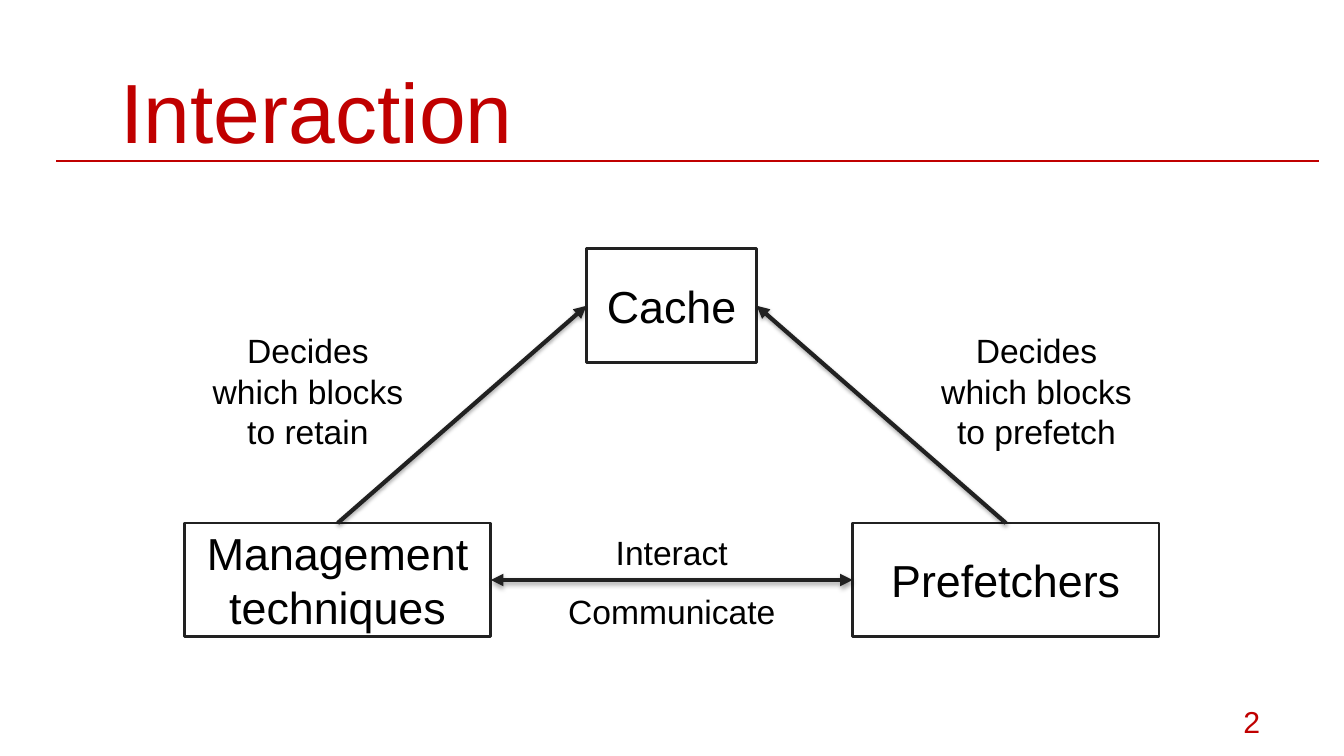
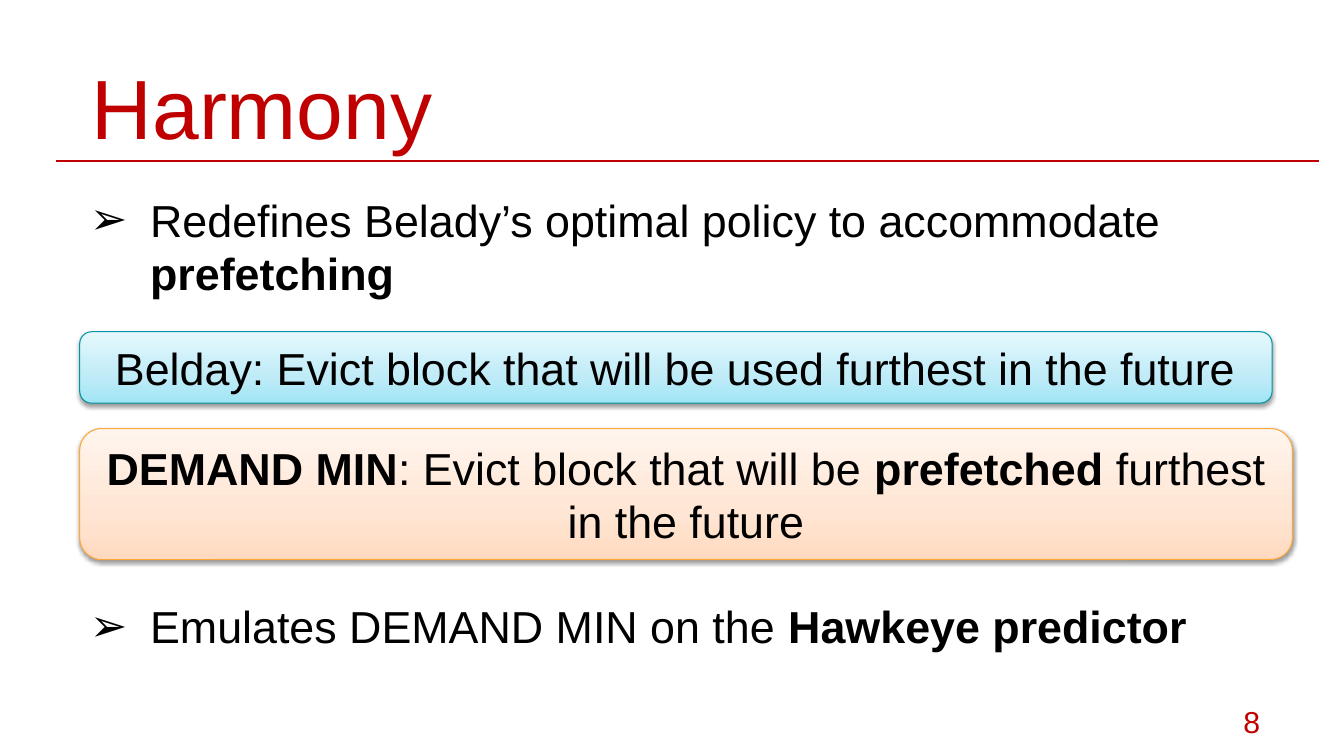
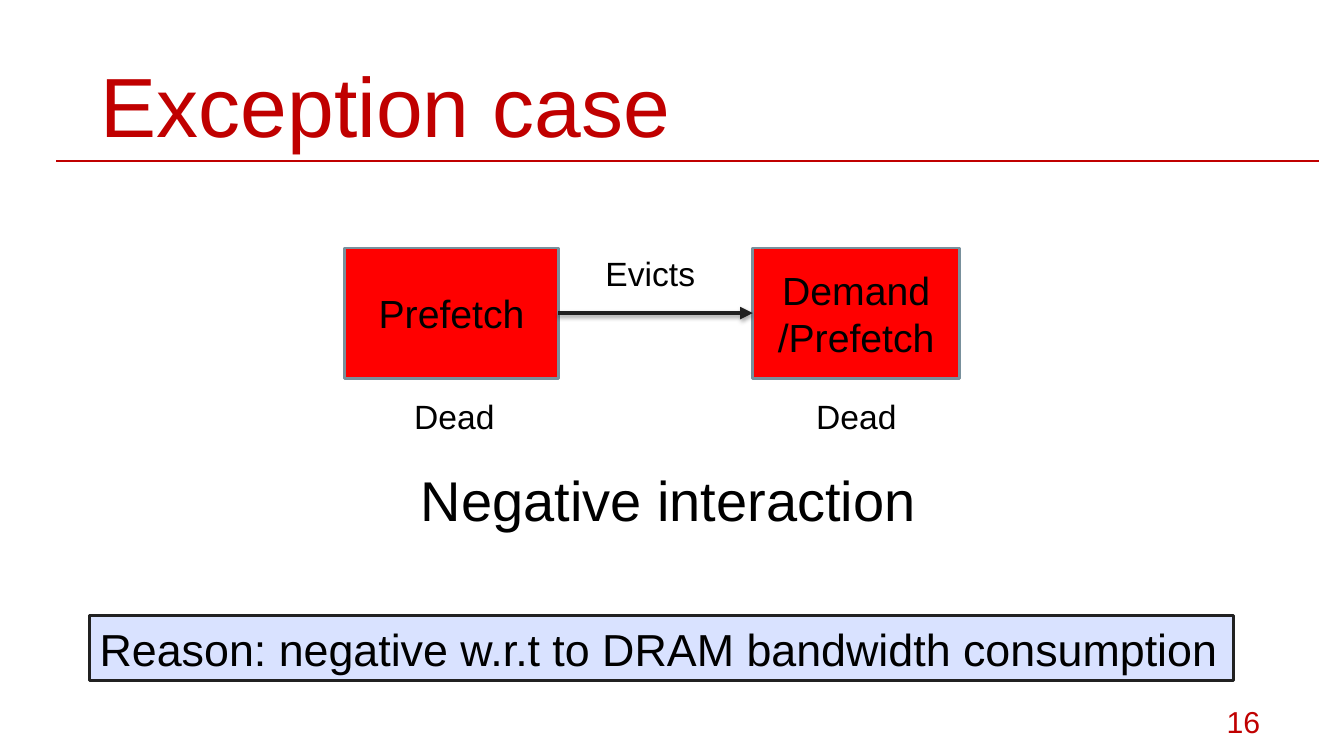
"""Build three slides on cache management and prefetching."""
import pptx
import pptx.dml.color
import pptx.enum.shapes
import pptx.enum.text
import pptx.oxml.ns
import pptx.util
from lxml import etree

Cm = pptx.util.Cm
Pt = pptx.util.Pt
RGBColor = pptx.dml.color.RGBColor
Align = pptx.enum.text.PP_ALIGN
Anchor = pptx.enum.text.MSO_ANCHOR
Shape = pptx.enum.shapes.MSO_SHAPE
qn = pptx.oxml.ns.qn

FONT = "Arial"
CRIMSON = RGBColor(0xC0, 0x00, 0x00)
BLACK = RGBColor(0x00, 0x00, 0x00)
WHITE = RGBColor(0xFF, 0xFF, 0xFF)
CHARCOAL = RGBColor(0x21, 0x21, 0x21)
RED = RGBColor(0xFF, 0x00, 0x00)
SLATE = RGBColor(0x78, 0x90, 0x9C)
PALE_BLUE = RGBColor(0xD9, 0xE2, 0xFF)
TEAL = RGBColor(0x00, 0x94, 0xA3)
AMBER = RGBColor(0xFE, 0xA8, 0x3A)
AQUA_STOPS = [(0, "A0E5F5"), (35, "BEEBF7"), (100, "E5F8FD")]
PEACH_STOPS = [(0, "FFDAC0"), (35, "FFE5D3"), (100, "FFF5EE")]

TOP, LEFT, BOTTOM, RIGHT = range(4)
TITLE_ONLY, TWO_CONTENT = 5, 3
INSET = 0.3

INTERACTION_BOXES = {
    "cache": ("Cache", (14.78, 6.27, 4.29, 2.87)),
    "management": ("Management techniques", (4.65, 13.18, 7.72, 2.87)),
    "prefetchers": ("Prefetchers", (21.49, 13.18, 7.72, 2.87)),
}
INTERACTION_ARROWS = [
    ("management", TOP, "cache", LEFT, False),
    ("prefetchers", TOP, "cache", RIGHT, False),
    ("management", RIGHT, "prefetchers", LEFT, True),
]
INTERACTION_LABELS = [
    ("Decides which blocks to retain", (5.03, 8.2, 5.46, 3.33)),
    ("Decides which blocks to prefetch", (23.39, 8.2, 5.46, 3.33)),
    ("Interact", (13.03, 13.28, 7.8, 1.27)),
    ("Communicate", (13.03, 14.76, 7.8, 1.27)),
]

HARMONY_POINTS = [
    ([("Redefines Belady’s optimal policy to accommodate ", False), ("prefetching", True)],
     (2.01, 4.72, 29.16, 3.2)),
    ([("Emulates DEMAND MIN on the ", False), ("Hawkeye predictor", True)],
     (2.01, 14.96, 29.16, 1.63)),
]
HARMONY_POLICIES = [
    ([("Belday: Evict block that will be used furthest in the future", False)],
     (2.01, 8.36, 30.05, 1.8), AQUA_STOPS, TEAL),
    ([("DEMAND MIN", True), (": Evict block that will be ", False),
      ("prefetched", True), (" furthest in the future", False)],
     (2.01, 10.8, 30.56, 3.3), PEACH_STOPS, AMBER),
]

EXCEPTION_BOXES = [
    ("Prefetch", (8.69, 6.25, 5.38, 3.28)),
    ("Demand\n/Prefetch", (18.97, 6.25, 5.21, 3.28)),
]
EXCEPTION_LABELS = [
    ("Evicts", (15.01, 6.25, 3.35, 1.27), 24),
    ("Dead", (10.19, 9.86, 3.35, 1.27), 24),
    ("Dead", (20.32, 9.86, 3.35, 1.27), 24),
    ("Negative interaction", (10.36, 11.61, 14.17, 1.96), 40),
]
REASON = ("Reason: negative w.r.t to DRAM bandwidth consumption", (2.26, 15.52, 28.83, 1.63))


def lengths(place):
    return [Cm(value) for value in place]


def write(shape, text, size, color=BLACK, align=Align.LEFT, anchor=Anchor.TOP, inset=None):
    """Write text, or a list of (text, bold) spans, into a shape."""
    frame = shape.text_frame
    frame.word_wrap = True
    frame.auto_size = pptx.enum.text.MSO_AUTO_SIZE.NONE
    frame.vertical_anchor = anchor
    if inset:
        frame.margin_left = frame.margin_right = Cm(inset)
        frame.margin_top = frame.margin_bottom = Cm(inset)
    if isinstance(text, str):
        frame.text = text
    else:
        for words, bold in text:
            span = frame.paragraphs[0].add_run()
            span.text = words
            if bold:
                span.font.bold = True
    for para in frame.paragraphs:
        para.alignment = align
        para.space_before = Pt(0)
        para.font.name = FONT
        para.font.size = Pt(size)
        para.font.color.rgb = color


def move(shape, place):
    shape.left, shape.top, shape.width, shape.height = lengths(place)


def add_label(page, text, place, size, **style):
    label = page.shapes.add_textbox(*lengths(place))
    write(label, text, size, **style)


def set_shadow(shape, opacity=0, distance=0):
    """Replace inherited effects with a downward shadow, or with none."""
    properties = shape._element.spPr
    for old in properties.findall(qn("a:effectLst")):
        properties.remove(old)
    effects = etree.SubElement(properties, qn("a:effectLst"))
    if opacity:
        shadow = etree.SubElement(effects, qn("a:outerShdw"), blurRad=str(Pt(3.1)),
                                  dist=str(Pt(distance)), dir="5400000", rotWithShape="0")
        color = etree.SubElement(shadow, qn("a:srgbClr"), val=str(BLACK))
        etree.SubElement(color, qn("a:alpha"), val=str(opacity * 1000))


def add_box(page, text, place, size, fill, line, line_width=2, kind=Shape.RECTANGLE,
            align=Align.CENTER):
    box = page.shapes.add_shape(kind, *lengths(place))
    box.shadow.inherit = False
    if isinstance(fill, RGBColor):
        box.fill.solid()
        box.fill.fore_color.rgb = fill
    else:
        box.fill.gradient()
        box.fill.gradient_angle = 90
        stops = box._element.spPr.find(".//" + qn("a:gsLst"))
        stops.clear()
        for position, color in fill:
            stop = etree.SubElement(stops, qn("a:gs"), pos=str(position * 1000))
            etree.SubElement(stop, qn("a:srgbClr"), val=color)
    box.line.color.rgb = line
    box.line.width = Pt(line_width)
    write(box, text, size, align=align, anchor=Anchor.MIDDLE)
    return box


def add_line(page, ends, color, width):
    line = page.shapes.add_connector(pptx.enum.shapes.MSO_CONNECTOR.STRAIGHT, *lengths(ends))
    line.line.color.rgb = color
    line.line.width = Pt(width)
    return line


def add_arrow(page, start, start_side, end, end_side, both=False):
    arrow = add_line(page, (0, 0, 0, 0), CHARCOAL, 3)
    arrow.begin_connect(start, start_side)
    arrow.end_connect(end, end_side)
    outline = arrow.line._get_or_add_ln()
    for tip in ("a:headEnd", "a:tailEnd") if both else ("a:tailEnd",):
        etree.SubElement(outline, qn(tip), type="triangle")
    set_shadow(arrow, 35, 1.8)


def add_point(placeholder, spans, place):
    move(placeholder, place)
    properties = placeholder.text_frame.paragraphs[0]._p.get_or_add_pPr()
    properties.set("marL", str(Cm(1.52)))
    properties.set("indent", str(Cm(-1.52)))
    color = etree.SubElement(properties, qn("a:buClr"))
    etree.SubElement(color, qn("a:srgbClr"), val=str(BLACK))
    etree.SubElement(properties, qn("a:buFont"), typeface=FONT)
    etree.SubElement(properties, qn("a:buChar"), char="➢")
    write(placeholder, spans, 32)


def add_page(deck, layout, title, title_place, number):
    """Add a slide with the shared title, rule and page number."""
    page = deck.slides.add_slide(deck.slide_layouts[layout])
    move(page.shapes.title, title_place)
    write(page.shapes.title, title, 60, CRIMSON, inset=INSET)
    set_shadow(add_line(page, (1.42, 4.06, 33.25, 4.06), CRIMSON, 1.5))
    add_label(page, number, (29.9, 17.45, 2.16, 1.45), 21.6, color=CRIMSON,
              align=Align.RIGHT, anchor=Anchor.MIDDLE, inset=INSET)
    return page


def build_interaction(deck):
    page = add_page(deck, TITLE_ONLY, "Interaction", (2.74, 1.19, 29.31, 2.13), "2")
    boxes = {name: add_box(page, text, place, 32, WHITE, CHARCOAL)
             for name, (text, place) in INTERACTION_BOXES.items()}
    for start, start_side, end, end_side, both in INTERACTION_ARROWS:
        add_arrow(page, boxes[start], start_side, boxes[end], end_side, both)
    for text, place in INTERACTION_LABELS:
        add_label(page, text, place, 24, align=Align.CENTER)


def build_harmony(deck):
    page = add_page(deck, TWO_CONTENT, "Harmony", (2.01, 1.09, 28.4, 2.13), "8")
    for index, (spans, place) in enumerate(HARMONY_POINTS, start=1):
        add_point(page.placeholders[index], spans, place)
    for spans, place, stops, line in HARMONY_POLICIES:
        box = add_box(page, spans, place, 32, stops, line, 0.75, Shape.ROUNDED_RECTANGLE)
        set_shadow(box, 38, 1.6)


def build_exception(deck):
    page = add_page(deck, TITLE_ONLY, "Exception case", (2.24, 1.04, 28.4, 2.13), "16")
    evictor, victim = [add_box(page, text, place, 28, RED, SLATE)
                       for text, place in EXCEPTION_BOXES]
    add_arrow(page, evictor, RIGHT, victim, LEFT)
    for text, place, size in EXCEPTION_LABELS:
        add_label(page, text, place, size)
    add_box(page, *REASON, 32, PALE_BLUE, CHARCOAL, align=Align.LEFT)


def main():
    deck = pptx.Presentation()
    deck.slide_width, deck.slide_height = Cm(33.87), Cm(19.05)
    build_interaction(deck)
    build_harmony(deck)
    build_exception(deck)
    deck.save("out.pptx")


if __name__ == "__main__":
    main()
